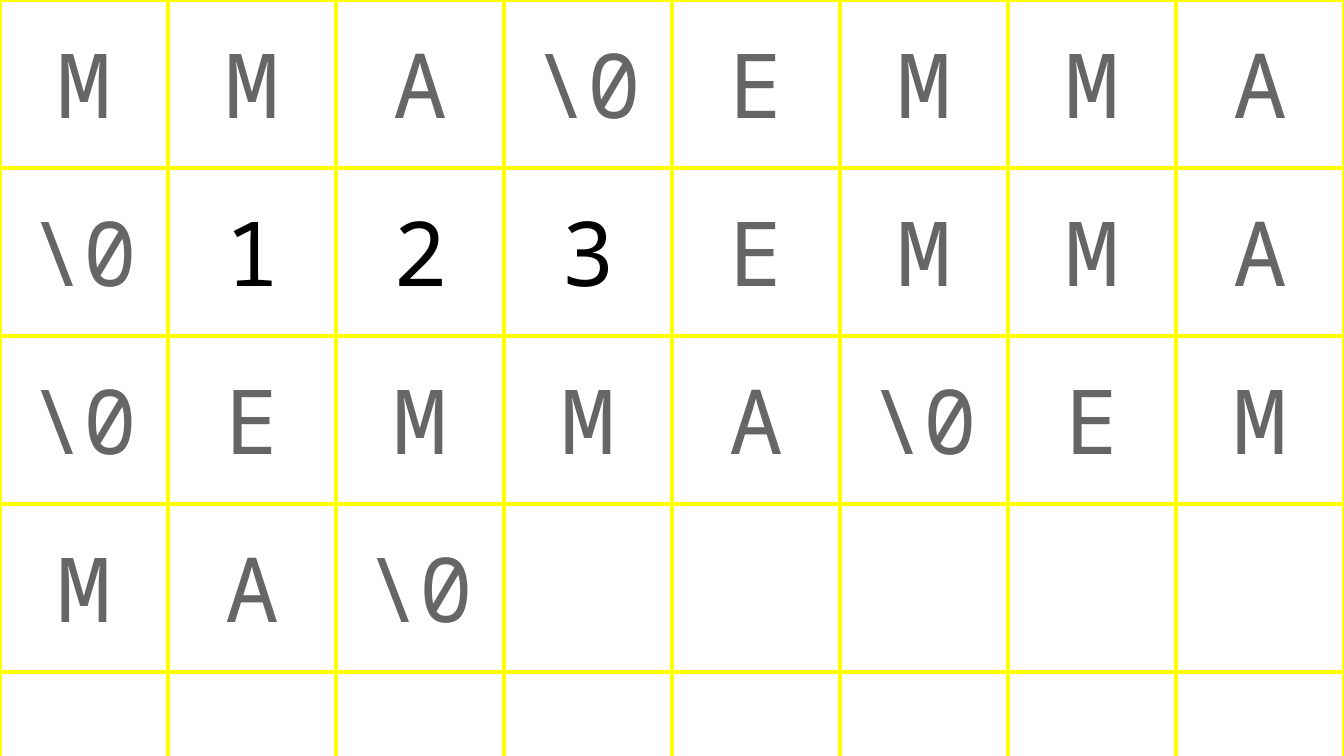
"""Build a slide showing a grid of memory bytes."""
import pptx
import pptx.dml.color
import pptx.enum.text
import pptx.oxml
import pptx.oxml.ns
import pptx.util

Inches = pptx.util.Inches
RGBColor = pptx.dml.color.RGBColor

GRAY = RGBColor(0x66, 0x66, 0x66)
BLACK = RGBColor(0, 0, 0)
YELLOW = RGBColor(0xFF, 0xFF, 0)
FONT = "Noto Sans Mono"
COLS = 8
BYTES = [
    r"M M A \0 E M M A",
    r"\0 1 2 3 E M M A",
    r"\0 E M M A \0 E M",
    r"M A \0",
    "",
]


def add_edges(cell):
    """Draw a yellow line on each side of a cell."""
    props = cell._tc.get_or_add_tcPr()
    space = pptx.oxml.ns.nsdecls("a")
    for side in ("lnL", "lnR", "lnT", "lnB"):
        props.append(pptx.oxml.parse_xml(
            f'<a:{side} {space} w="{pptx.util.Pt(3)}"><a:solidFill>'
            f'<a:srgbClr val="{YELLOW}"/></a:solidFill></a:{side}>'))


def set_cell(cell, text):
    """Format a cell and write its byte."""
    add_edges(cell)
    cell.fill.background()
    cell.vertical_anchor = pptx.enum.text.MSO_ANCHOR.MIDDLE
    cell.margin_left = cell.margin_right = Inches(0.13)
    cell.margin_top = cell.margin_bottom = Inches(0.13)
    cell.text_frame.text = text
    line = cell.text_frame.paragraphs[0]
    line.alignment = pptx.enum.text.PP_ALIGN.CENTER
    for run in line.runs:
        run.font.name = FONT
        run.font.size = pptx.util.Pt(64)
        run.font.color.rgb = BLACK if text.isdigit() else GRAY


def add_grid(slide, width):
    """Add the table of square cells across the slide."""
    side = width // COLS
    frame = slide.shapes.add_table(
        len(BYTES), COLS, 0, 0, width, side * len(BYTES))
    table = frame.table
    table.first_row = False
    table.horz_banding = False
    for col in table.columns:
        col.width = side
    for row, line in zip(table.rows, BYTES):
        row.height = side
        texts = line.split()
        texts += [""] * (COLS - len(texts))
        for cell, text in zip(row.cells, texts):
            set_cell(cell, text)


def main():
    """Make and save the slide."""
    deck = pptx.Presentation()
    deck.slide_width = Inches(13.33)
    deck.slide_height = Inches(7.5)
    slide = deck.slides.add_slide(deck.slide_layouts[6])
    add_grid(slide, deck.slide_width)
    deck.save("out.pptx")


if __name__ == "__main__":
    main()
